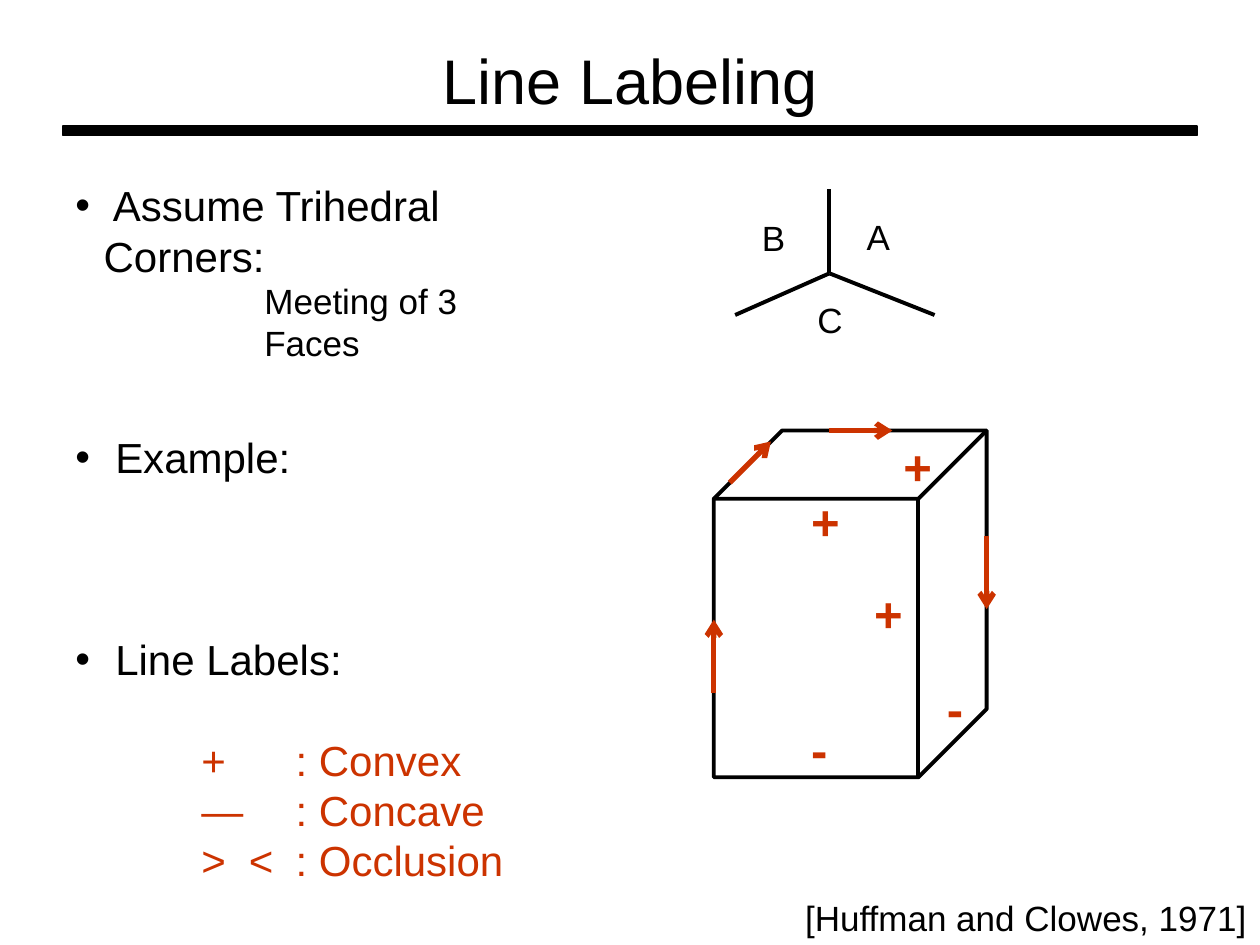
from lxml import etree
from pptx import Presentation
from pptx.dml.color import RGBColor
from pptx.enum.shapes import MSO_CONNECTOR as Conn, MSO_SHAPE as Kind
from pptx.enum.text import MSO_ANCHOR as Anchor, MSO_AUTO_SIZE as Fit, PP_ALIGN as Align
from pptx.oxml import parse_xml
from pptx.oxml.ns import nsdecls, qn
from pptx.util import Cm, Pt

BLACK, RED = "000000", "CC3300"
PITCH = 28.8  # line height of the list, in points


def rgb(code):
    return RGBColor.from_string(code)


def style(para, color, **form):
    """Set Arial, the colour and the given font values on a paragraph."""
    para.font.color.rgb = rgb(color)
    for key, val in {"name": "Arial", **form}.items():
        setattr(para.font, key, val)


deck = Presentation()
deck.slide_width, deck.slide_height = Cm(25.4), Cm(19.05)
slide = deck.slides.add_slide(deck.slide_layouts[6])
shapes = slide.shapes

# Title and rule
title = shapes.add_textbox(Cm(1.27), Cm(0), Cm(22.86), Cm(3.18)).text_frame
title.word_wrap = True
title.vertical_anchor = Anchor.MIDDLE
title.text = "Line Labeling"
title.paragraphs[0].alignment = Align.CENTER
style(title.paragraphs[0], BLACK, size=Pt(36))

rule = shapes.add_shape(Kind.RECTANGLE, Cm(1.27), Cm(2.54), Cm(22.86), Cm(0.2))
rule.shadow.inherit = False
rule.fill.solid()
rule.fill.fore_color.rgb = rgb(BLACK)
rule.line.color.rgb = rgb(BLACK)
rule.line.width = Pt(0.75)

# List: text, blank lines above, tab stops in cm (none means a bullet)
items = [
    (" Assume Trihedral Corners:", 0, []),
    (" Example:", 3, []),
    (" Line Labels:", 3, []),
    ("\t+\t: Convex", 1, [2.54, 4.44]),
    ("\t—\t: Concave", 0, [2.54, 4.44]),
    ("\t>\t<\t: Occlusion", 0, [2.54, 3.5, 4.44]),
]
body = shapes.add_textbox(Cm(1.27), Cm(3.5), Cm(11.15), Cm(13.46)).text_frame
body.word_wrap = True
for num, (text, gap, stops) in enumerate(items):
    para = body.add_paragraph() if num else body.paragraphs[0]
    para.text = text
    para.line_spacing = Pt(PITCH)
    para.space_before = Pt(gap * PITCH)
    props = para._p.get_or_add_pPr()
    if stops:
        tabs = etree.SubElement(props, qn("a:tabLst"))
        for stop in stops:
            etree.SubElement(tabs, qn("a:tab"), pos=str(Cm(stop)), algn="l")
    else:
        props.set("marL", str(Cm(0.57)))
        props.set("indent", str(Cm(-0.57)))
        props.append(parse_xml(f'<a:buFont {nsdecls("a")} typeface="Arial"/>'))
        props.append(parse_xml(f'<a:buChar {nsdecls("a")} char="•"/>'))
    style(para, RED if stops else BLACK, size=Pt(24))

# Box whose edges carry the labels
cube = shapes.add_shape(Kind.CUBE, Cm(14.39), Cm(8.68), Cm(5.5), Cm(6.99))
cube.adjustments[0] = 0.25
cube.shadow.inherit = False
cube.fill.background()
cube.line.color.rgb = rgb(BLACK)
cube.line.width = Pt(2.25)

# Corner edges, then occlusion arrows
hub = (16.72, 5.51)
edges = [(hub, end, False) for end in [(14.82, 6.35), (16.72, 3.81), (18.84, 6.35)]]
edges += [
    ((14.39, 13.97), (14.39, 12.49), True),
    ((14.71, 9.73), (15.54, 8.9), True),
    ((16.72, 8.68), (17.99, 8.68), True),
    ((19.89, 10.8), (19.89, 12.28), True),
]
for start, end, arrow in edges:
    edge = shapes.add_connector(Conn.STRAIGHT, *map(Cm, start + end))
    edge.line.color.rgb = rgb(RED if arrow else BLACK)
    edge.line.width = Pt(3 if arrow else 2.25)
    if arrow:
        etree.SubElement(edge.line._get_or_add_ln(), qn("a:tailEnd"), type="arrow")
    etree.SubElement(edge._element.spPr, qn("a:effectLst"))

# Notes in black, edge signs in bold red
note = {"color": BLACK, "size": Pt(20)}
sign = {"color": RED, "size": Pt(28), "bold": True}
labels = [
    ("A", 17.22, 4.22, 0.97, note),
    ("B", 15.11, 4.24, 0.97, note),
    ("C", 16.23, 5.89, 1.02, note),
    ("Meeting of 3 Faces", 5.08, 5.51, 6.5, note),
    ("[Huffman and Clowes, 1971]", 15.98, 17.95, 9.42, note),
    ("+", 16.1, 9.78, 1.07, sign),
    ("+", 17.96, 8.68, 1.07, sign),
    ("+", 17.37, 11.64, 1.07, sign),
    ("-", 16.1, 14.39, 0.84, sign),
    ("-", 18.84, 13.55, 0.84, sign),
]
for text, left, top, width, form in labels:
    high = 1.45 if form is sign else 1.12
    frame = shapes.add_textbox(Cm(left), Cm(top), Cm(width), Cm(high)).text_frame
    frame.word_wrap = False
    frame.auto_size = Fit.SHAPE_TO_FIT_TEXT
    frame.text = text
    style(frame.paragraphs[0], **form)

deck.save("out.pptx")
